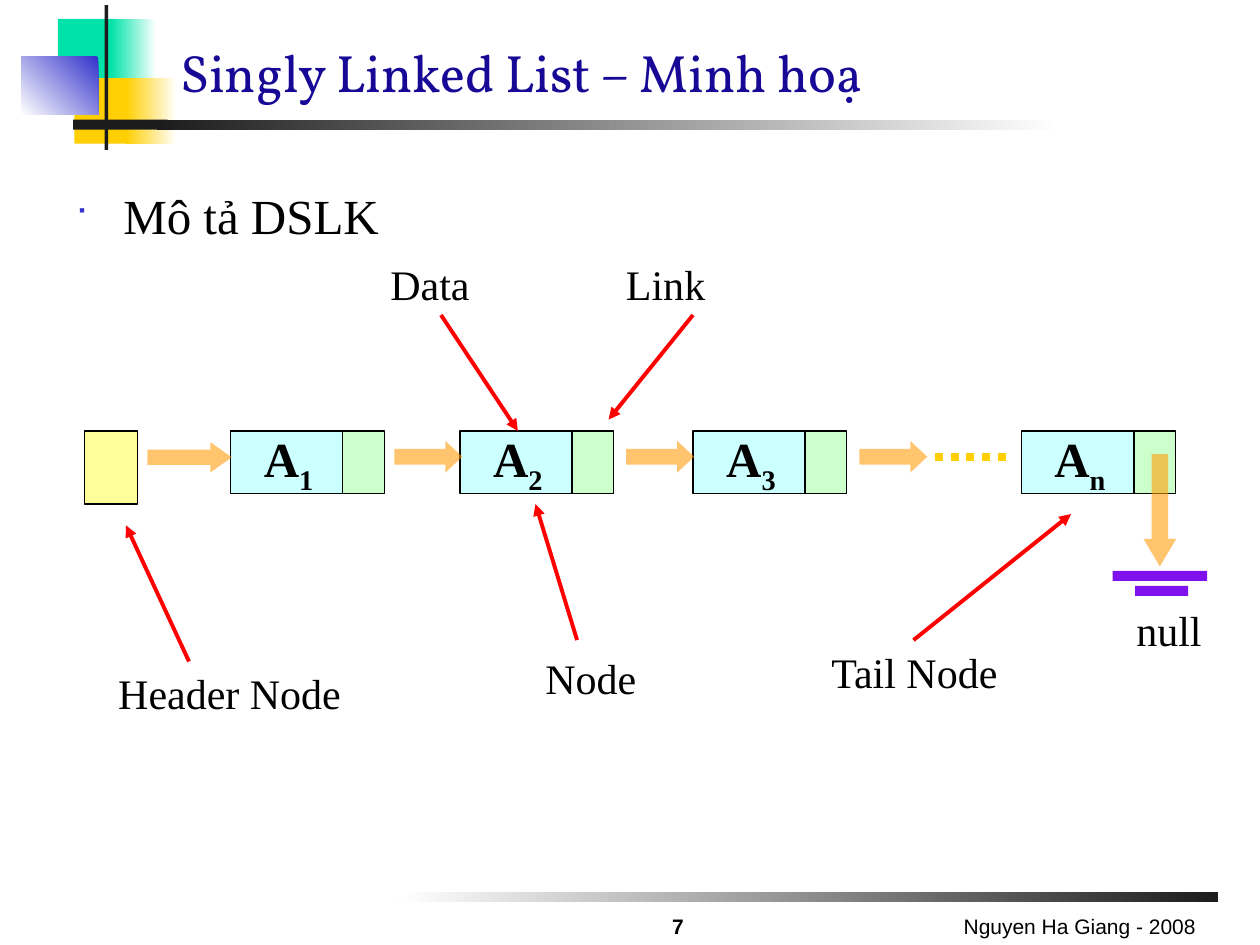
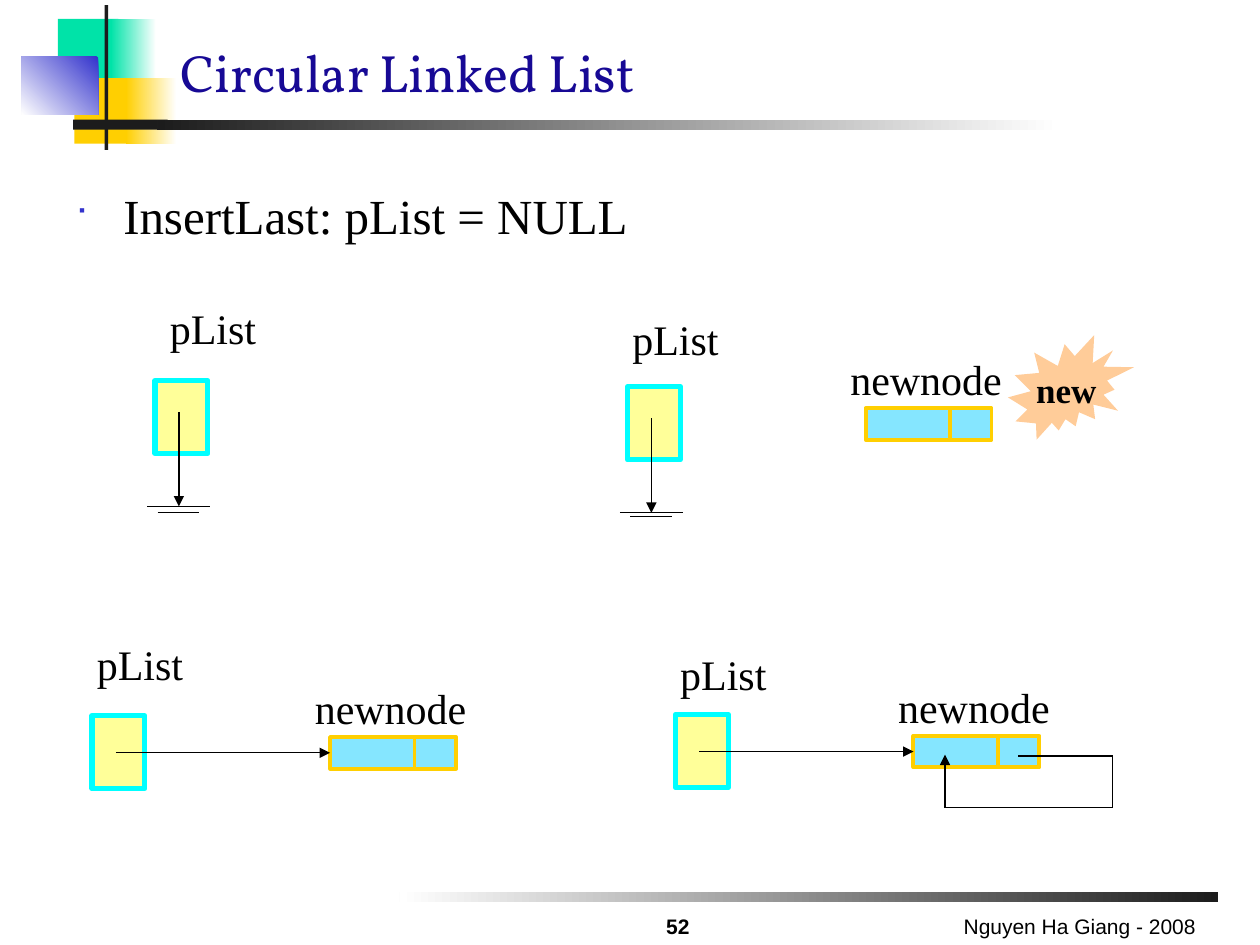
import itertools

import lxml.etree
import pptx
import pptx.dml.color
import pptx.enum.dml
import pptx.enum.shapes
import pptx.enum.text
import pptx.oxml.ns
import pptx.util

Inches = pptx.util.Inches
Rgb = pptx.dml.color.RGBColor.from_string
SHAPE = pptx.enum.shapes.MSO_SHAPE
ALIGN = pptx.enum.text.PP_ALIGN
ANCHOR = pptx.enum.text.MSO_ANCHOR
FIT = pptx.enum.text.MSO_AUTO_SIZE
qn = pptx.oxml.ns.qn
SubElement = lxml.etree.SubElement


class Theme:
    black, white, ink = "000000", "FFFFFF", "1C1C1C"
    green, gold, blue = "00E3A8", "FFCF01", "3333CC"
    red, purple, orange = "FF0000", "7F11EE", "FF9900"
    data_fill, link_fill, header_fill = "CCFFFF", "CCFFCC", "FFFF99"
    new_node_fill, header_line, burst = "00CCFF", "00FFFF", "FFCC99"
    # Text styles: font, size, bold, colour
    title = ("Vollkorn", 30, False, "170995")
    body = ("Times New Roman", 28, False, black)
    node = ("Times New Roman", 28, True, black)
    label = ("Times New Roman", 24, False, black)
    burst_text = ("Times New Roman", 20, True, black)
    footer = ("Arial", 12, False, black)
    number = ("Arial", 12, True, black)


def block(slide, at, kind=None, fill=None, alpha=None, outline=None, text="",
          style=Theme.label, align=ALIGN.LEFT, anchor=ANCHOR.TOP, wrap=False):
    """Add a preset shape, or a text box when kind is None.

    fill is a colour or (start, end, angle); outline is (colour, points).
    """
    place = [Inches(length) for length in at]
    if kind is None:
        shape = slide.shapes.add_textbox(*place)
    else:
        shape = slide.shapes.add_shape(kind, *place)
        shape.shadow.inherit = False
        if isinstance(fill, tuple):
            shape.fill.gradient()
            shape.fill.gradient_angle = fill[2]
            for stop, color in zip(shape.fill.gradient_stops, fill):
                stop.color.rgb = Rgb(color)
        else:
            shape.fill.solid()
            shape.fill.fore_color.rgb = Rgb(fill)
            if alpha:
                color = shape.element.spPr.find(qn("a:solidFill"))[0]
                SubElement(color, qn("a:alpha"), val=str(alpha * 1000))
        if outline:
            shape.line.color.rgb = Rgb(outline[0])
            shape.line.width = pptx.util.Pt(outline[1])
        else:
            shape.line.fill.background()
    if text:
        frame = shape.text_frame
        frame.word_wrap = wrap
        frame.vertical_anchor = anchor
        if kind is None and not wrap:
            frame.auto_size = FIT.SHAPE_TO_FIT_TEXT
        paragraph = frame.paragraphs[0]
        paragraph.alignment = align
        font, size, bold, color = style
        for part in [text] if isinstance(text, str) else text:
            run = paragraph.add_run()
            run.text = part
            run.font.name, run.font.size = font, pptx.util.Pt(size)
            run.font.bold, run.font.color.rgb = bold, Rgb(color)
    return shape


def stroke(slide, start, end, color=Theme.black, width=0.75, arrow=False):
    line = slide.shapes.add_connector(
        pptx.enum.shapes.MSO_CONNECTOR.STRAIGHT,
        *[Inches(length) for length in (*start, *end)])
    line.line.color.rgb = Rgb(color)
    line.line.width = pptx.util.Pt(width)
    properties = line.element.spPr
    if arrow:
        SubElement(properties.find(qn("a:ln")), qn("a:tailEnd"), type="triangle")
    SubElement(properties, qn("a:effectLst"))
    return line


deck = pptx.Presentation()
deck.slide_width, deck.slide_height = Inches(10), Inches(7.5)

# Shared frame: ornament, rules, title, bullet and footer
ornament = [
    ((3.17, 7.08, 6.5, 0.08), (Theme.ink, Theme.white, 180)),
    ((0.46, 0.15, 0.48, 0.52), Theme.green),
    ((0.88, 0.15, 0.36, 0.52), (Theme.white, Theme.green, 180)),
    ((0.59, 0.62, 0.46, 0.52), Theme.gold),
    ((1, 0.62, 0.4, 0.52), (Theme.white, Theme.gold, 180)),
    ((0.17, 0.45, 0.61, 0.46), (Theme.blue, Theme.white, 225)),
    ((0.83, 0.04, 0.03, 1.15), Theme.ink),
    ((0.58, 0.95, 0.75, 0.08), Theme.ink),
    ((1.25, 0.95, 7.16, 0.08), (Theme.white, Theme.ink, 180)),
]
pages = [
    ("Singly Linked List – Minh hoạ", "Mô tả DSLK", "7"),
    ("Circular Linked List", "InsertLast: pList = NULL", "52"),
]
for heading, topic, number in pages:
    slide = deck.slides.add_slide(deck.slide_layouts[5])
    for at, fill in ornament:
        block(slide, at, SHAPE.RECTANGLE, fill)

    title = slide.shapes.title
    title.left, title.top = Inches(1.33), Inches(0.2)
    title.width, title.height = Inches(8.5), Inches(0.67)
    title.text_frame.text = heading
    title.text_frame.auto_size = FIT.NONE
    title.text_frame.vertical_anchor = ANCHOR.BOTTOM
    title.text_frame.paragraphs[0].alignment = ALIGN.LEFT
    font = title.text_frame.paragraphs[0].runs[0].font
    font.name, size, font.bold, color = Theme.title
    font.size, font.color.rgb = pptx.util.Pt(size), Rgb(color)

    bullet = block(slide, (0.5, 1.42, 9.29, 5.58), text=topic,
                   style=Theme.body, wrap=True)
    layout = bullet.text_frame.paragraphs[0]._p.get_or_add_pPr()
    layout.set("marL", str(Inches(0.38)))
    layout.set("indent", str(-Inches(0.38)))
    SubElement(SubElement(layout, qn("a:buClr")), qn("a:srgbClr"), val=Theme.blue)
    SubElement(layout, qn("a:buSzPct"), val="60000")
    SubElement(layout, qn("a:buFont"), typeface="Wingdings", charset="2")
    SubElement(layout, qn("a:buChar"), char="■")

    block(slide, (6.42, 7.17, 3.17, 0.33), text="Nguyen Ha Giang - 2008",
          style=Theme.footer, align=ALIGN.RIGHT, anchor=ANCHOR.BOTTOM, wrap=True)
    block(slide, (4.92, 7.23, 0.92, 0.27), text=number, style=Theme.number,
          align=ALIGN.CENTER, anchor=ANCHOR.BOTTOM, wrap=True)

singly, circular = deck.slides

# Singly linked list: header, nodes and the arrows between them
thin = (Theme.black, 0.75)
block(singly, (0.67, 3.42, 0.42, 0.58), SHAPE.RECTANGLE, Theme.header_fill,
      outline=thin)
data_parts = {}
for index, x in [("1", 1.83), ("2", 3.65), ("3", 5.5), ("n", 8.11)]:
    data = block(singly, (x, 3.42, 0.92, 0.5), SHAPE.RECTANGLE, Theme.data_fill,
                 outline=thin, text=("A", index), style=Theme.node,
                 align=ALIGN.CENTER, anchor=ANCHOR.MIDDLE)
    subscript = data.text_frame.paragraphs[0].runs[1]
    subscript._r.get_or_add_rPr().set("baseline", "-25000")
    data_parts[index] = data
    block(singly, (x + 0.89, 3.42, 0.33, 0.5), SHAPE.RECTANGLE, Theme.link_fill,
          outline=thin)

next_arrows = [
    ((1.17, 3.51, 0.67, 0.24), 0.71, 0),
    ((3.13, 3.5, 0.54, 0.25), 0.54, 0),
    ((4.97, 3.5, 0.54, 0.25), 0.54, 0),
    ((6.82, 3.5, 0.54, 0.25), 0.54, 0),
    ((8.76, 3.92, 0.89, 0.26), 0.84, 90),
]
for at, head, turn in next_arrows:
    arrow = block(singly, at, SHAPE.RIGHT_ARROW, Theme.orange, alpha=57)
    arrow.adjustments[1] = head
    arrow.rotation = turn

more_nodes = stroke(singly, (7.42, 3.63), (8, 3.63), Theme.gold, 4.5)
more_nodes.line.dash_style = pptx.enum.dml.MSO_LINE.ROUND_DOT

for null_bar in [(8.83, 4.53, 0.75, 0.08), (9.01, 4.65, 0.42, 0.08)]:
    block(singly, null_bar, SHAPE.RECTANGLE, Theme.purple)

callouts = [
    ("Header Node", (0.84, 5.25, 1.97), (1.5, 5.25), (1, 4.17)),
    ("Node", (4.23, 5.13, 0.92), (4.58, 5.08), (4.25, 4)),
    ("Tail Node", (6.5, 5.08, 1.54), (7.25, 5.08), (8.5, 4.08)),
    ("Data", (3, 2, 0.83), (3.5, 2.5), (4.08, 3.42)),
    ("Link", (4.87, 2, 0.83), (5.5, 2.5), (4.83, 3.33)),
]
for name, place, start, end in callouts:
    block(singly, (*place, 0.5), text=name)
    pointer = stroke(singly, start, end, Theme.red, 2.25, arrow=True)
    if name == "Data":
        pointer.end_connect(data_parts["2"], 0)
block(singly, (8.92, 4.75, 0.72, 0.5), text="null")

# Circular linked list: the four steps of inserting into an empty list
headers = [
    (1.23, 3.02, 1.25, 2.35),
    (4.98, 3.07, 4.92, 2.44),
    (0.73, 5.68, 0.67, 5.02),
    (5.36, 5.67, 5.3, 5.1),
]
for x, y, label_x, label_y in headers:
    block(circular, (x, y, 0.42, 0.58), SHAPE.RECTANGLE, Theme.header_fill,
          outline=(Theme.header_line, 3))
    block(circular, (label_x, label_y, 0.9, 0.5), text="pList")

for (x, y, *_), gap in zip(headers[:2], (0.05, 0.03)):
    ground = y + 1
    stroke(circular, (x + 0.19, y + 0.25), (x + 0.19, ground), arrow=True)
    stroke(circular, (x - 0.06, ground), (x + 0.44, ground))
    stroke(circular, (x + 0.02, ground + gap), (x + 0.35, ground + gap))

new_nodes = []
for x, y in [(6.87, 3.24), (2.62, 5.85), (7.25, 5.84)]:
    fields = [block(circular, (left, y, width, 0.25), SHAPE.RECTANGLE,
                    Theme.new_node_fill, alpha=48, outline=(Theme.gold, 2.25))
              for left, width in [(x, 0.67), (x + 0.67, 0.33)]]
    new_nodes.append((fields[0], x, y))
    block(circular, (x - 0.22, y - 0.48, 1.4, 0.5), text="newnode")

block(circular, (8, 2.66, 1, 0.83), SHAPE.EXPLOSION2, Theme.burst, text="new",
      style=Theme.burst_text, align=ALIGN.CENTER, anchor=ANCHOR.MIDDLE)

for (header_x, *_), (node, x, y) in zip(headers[2:], new_nodes[1:]):
    middle = y + 0.125
    link = stroke(circular, (header_x + 0.19, middle), (x, middle), arrow=True)
    link.end_connect(node, 1)

loop_back = [(8.08, 6), (8.83, 6), (8.83, 6.41), (7.5, 6.41), (7.5, 5.99)]
for start, end in itertools.pairwise(loop_back):
    stroke(circular, start, end, arrow=end == loop_back[-1])

deck.save("out.pptx")
